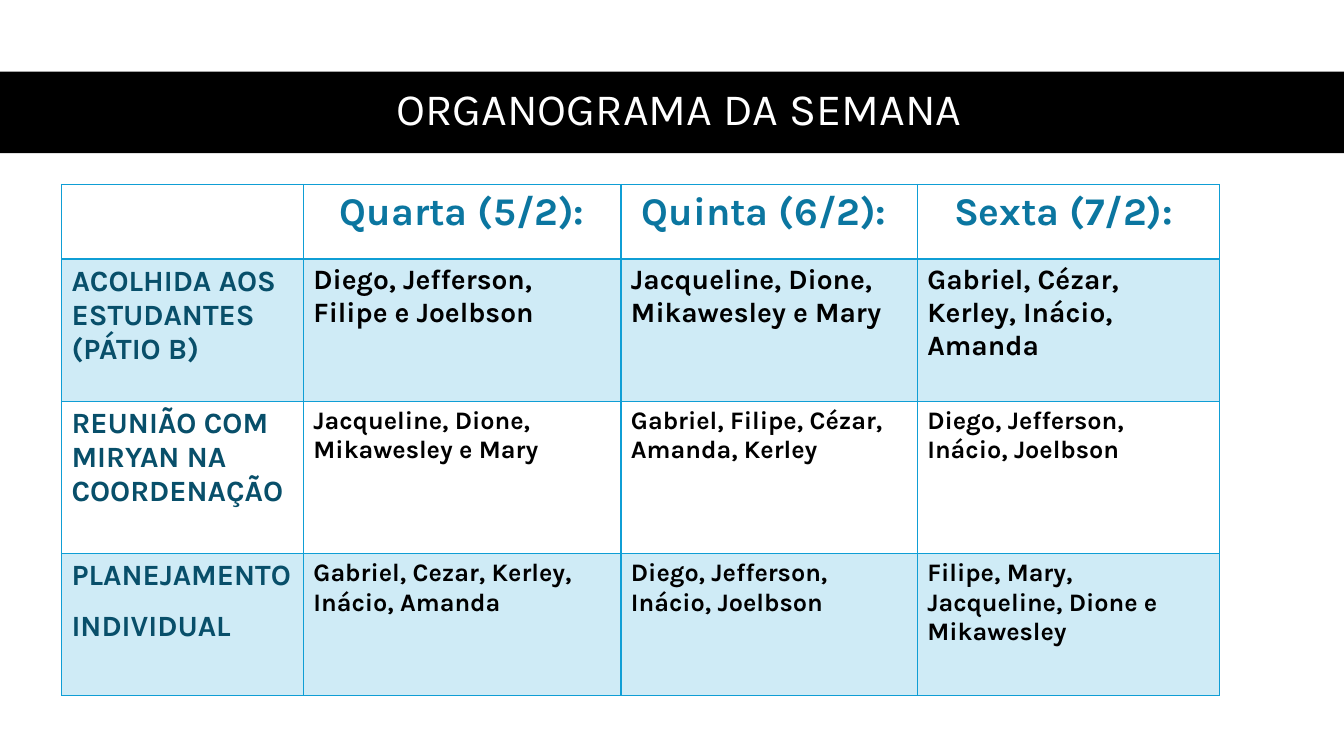
from dataclasses import dataclass

from lxml.etree import SubElement
from pptx import Presentation
from pptx.dml.color import RGBColor
from pptx.enum.shapes import MSO_SHAPE
from pptx.enum.text import MSO_ANCHOR, PP_ALIGN
from pptx.oxml import parse_xml
from pptx.oxml.ns import nsdecls, qn
from pptx.util import Pt


@dataclass(frozen=True)
class Theme:
    font: str = "Karla"
    banner: str = "000000"
    title: str = "FFFFFF"
    heading: str = "0B76A0"
    label: str = "084F6A"
    names: str = "000000"
    accent: str = "0F9ED5"
    band_opacity: int = 20
    title_size: int = 32
    heading_size: int = 28
    label_size: int = 21
    welcome_size: int = 20
    names_size: int = 18
    border: int = 1
    header_border: int = 2


THEME = Theme()
COLUMN_WIDTHS = [172.8, 226.8, 211.7, 216]
ROW_HEIGHTS = [53.3, 101.5, 108.7, 101.5]
HEADINGS = ["Quarta (5/2):", "Quinta (6/2): ", "Sexta (7/2): "]
ACTIVITIES = [
    (["ACOLHIDA AOS ESTUDANTES (PÁTIO B)"], THEME.welcome_size, [
        "Diego, Jefferson, Filipe e Joelbson",
        "Jacqueline, Dione, Mikawesley e Mary",
        "Gabriel, Cézar, Kerley, Inácio, Amanda",
    ]),
    (["REUNIÃO COM MIRYAN NA COORDENAÇÃO"], THEME.names_size, [
        "Jacqueline, Dione, Mikawesley e Mary",
        "Gabriel, Filipe, Cézar, Amanda, Kerley",
        "Diego, Jefferson, Inácio, Joelbson",
    ]),
    (["PLANEJAMENTO", "INDIVIDUAL"], THEME.names_size, [
        "Gabriel, Cezar, Kerley, Inácio, Amanda",
        "Diego, Jefferson, Inácio, Joelbson",
        "Filipe, Mary, Jacqueline, Dione e Mikawesley",
    ]),
]


def add_run(paragraph, text, size, color, bold=False):
    run = paragraph.add_run()
    run.text = text
    run.font.name = THEME.font
    run.font.size = Pt(size)
    run.font.bold = bold
    run.font.color.rgb = RGBColor.from_string(color)


def write_cell(cell, lines, size, color, alignment=PP_ALIGN.LEFT, space=6):
    frame = cell.text_frame
    for index, line in enumerate(lines):
        paragraph = frame.add_paragraph() if index else frame.paragraphs[0]
        paragraph.alignment = alignment
        paragraph.space_before = Pt(space if index else 0)
        paragraph.space_after = Pt(space)
        add_run(paragraph, line, size, color, bold=True)


def style_cell(cell, row_index):
    if row_index % 2:
        cell.fill.solid()
        cell.fill.fore_color.rgb = RGBColor.from_string(THEME.accent)
        properties = cell._tc.get_or_add_tcPr()
        color = properties.find(qn("a:solidFill")).find(qn("a:srgbClr"))
        SubElement(color, qn("a:alpha"), val=str(THEME.band_opacity * 1000))
    else:
        cell.fill.background()
        properties = cell._tc.get_or_add_tcPr()
    for position, side in enumerate("LRTB"):
        beside_header = (side, row_index) in (("B", 0), ("T", 1))
        width = THEME.header_border if beside_header else THEME.border
        properties.insert(position, parse_xml(
            f'<a:ln{side} {nsdecls("a")} w="{Pt(width)}"><a:solidFill>'
            f'<a:srgbClr val="{THEME.accent}"/></a:solidFill></a:ln{side}>'
        ))


def add_banner(slide, left, top, width, height):
    banner = slide.shapes.add_shape(
        MSO_SHAPE.RECTANGLE, Pt(left), Pt(top), Pt(width), Pt(height))
    banner.shadow.inherit = False
    banner.fill.solid()
    banner.fill.fore_color.rgb = RGBColor.from_string(THEME.banner)
    banner.line.fill.background()
    title = slide.shapes.add_textbox(
        Pt(left + 43.9), Pt(top - 0.7), Pt(width - 77.3), Pt(height))
    frame = title.text_frame
    frame.word_wrap = True
    frame.vertical_anchor = MSO_ANCHOR.MIDDLE
    paragraph = frame.paragraphs[0]
    paragraph.alignment = PP_ALIGN.CENTER
    paragraph.line_spacing = 0.9
    add_run(paragraph, "ORGANOGRAMA DA SEMANA", THEME.title_size, THEME.title)


def add_schedule(slide, left, top, width, height):
    table = slide.shapes.add_table(
        len(ROW_HEIGHTS), len(COLUMN_WIDTHS),
        Pt(left), Pt(top), Pt(width), Pt(height)).table
    table.first_row = False
    table.horz_banding = False
    for column, share in zip(table.columns, COLUMN_WIDTHS):
        column.width = Pt(width * share / sum(COLUMN_WIDTHS))
    for row_index, (row, share) in enumerate(zip(table.rows, ROW_HEIGHTS)):
        row.height = Pt(height * share / sum(ROW_HEIGHTS))
        for cell in row.cells:
            style_cell(cell, row_index)
    for column_index, heading in enumerate(HEADINGS, 1):
        write_cell(table.cell(0, column_index), [heading], THEME.heading_size,
                   THEME.heading, PP_ALIGN.CENTER, 0)
    for row_index, (label, size, days) in enumerate(ACTIVITIES, 1):
        write_cell(table.cell(row_index, 0), label, THEME.label_size, THEME.label)
        for column_index, names in enumerate(days, 1):
            write_cell(table.cell(row_index, column_index), [names], size, THEME.names)


def main():
    presentation = Presentation()
    presentation.slide_width = Pt(960)
    presentation.slide_height = Pt(540)
    slide = presentation.slides.add_slide(presentation.slide_layouts[6])
    add_banner(slide, 0, 51.1, 960, 58.3)
    add_schedule(slide, 43.9, 131.8, sum(COLUMN_WIDTHS), sum(ROW_HEIGHTS))
    presentation.save("out.pptx")


if __name__ == "__main__":
    main()
